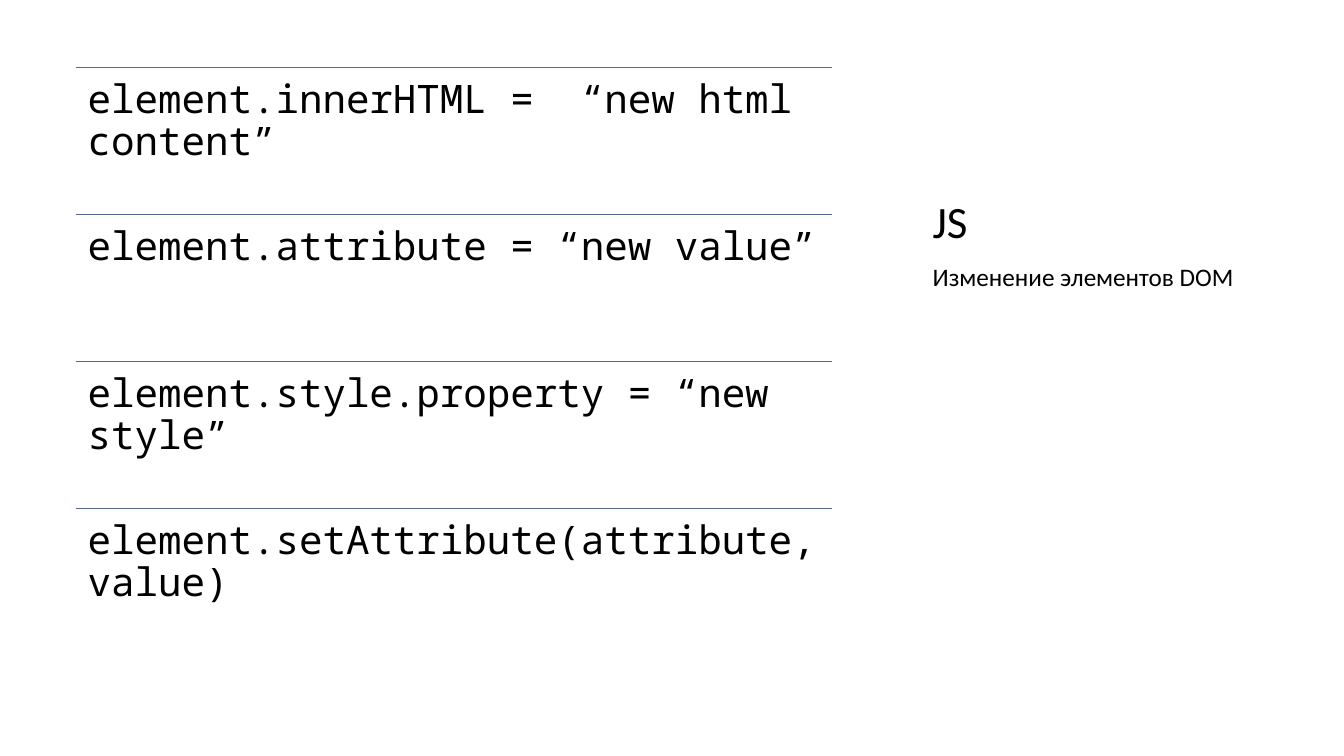
from pptx import Presentation
from pptx.dml.color import RGBColor as Rgb
from pptx.enum.shapes import MSO_CONNECTOR as Link
from pptx.enum.text import MSO_ANCHOR as Anchor
from pptx.oxml.ns import qn
from pptx.util import Inches, Pt
from lxml import etree

CODE = [
    "element.innerHTML =  “new html content”",
    "element.attribute = “new value”",
    "element.style.property = “new style”",
    "element.setAttribute(attribute, value)",
]
TITLE = "JS"
TOPIC = "Изменение элементов DOM"

HUES = {"ink": "000000", "rule": "54688C"}
WIDE, HIGH = 13.33, 7.5
LEFT, TOP, SPAN = 0.75, 0.67, 7.5
STEP = (6.5 - TOP) / len(CODE)
SIDE, BAND = 9.25, 3.46

FORMS = {
    "code": {
        "font": {"name": "Noto Sans Mono", "size": Pt(28)},
        "para": {"line_spacing": 0.9, "space_after": Pt(9.8)},
        "anchor": Anchor.TOP, "inset": 0.12,
    },
    "title": {
        "font": {"name": "Calibri", "size": Pt(32)},
        "para": {}, "anchor": Anchor.BOTTOM, "inset": 0,
    },
    "topic": {
        "font": {"name": "Calibri", "size": Pt(18)},
        "para": {"line_spacing": 1.1, "space_before": Pt(8)},
        "anchor": Anchor.TOP, "inset": 0,
    },
}


def apply(item, values):
    for key, value in values.items():
        setattr(item, key, value)


def write(slide, text, box, kind):
    form = FORMS[kind]
    frame = slide.shapes.add_textbox(*map(Inches, box)).text_frame
    sides = ("left", "top", "right", "bottom")
    apply(frame, {f"margin_{side}": Inches(form["inset"]) for side in sides})
    apply(frame, {"word_wrap": True, "vertical_anchor": form["anchor"]})
    para = frame.paragraphs[0]
    apply(para, form["para"])
    run = para.add_run()
    run.text = text
    apply(run.font, form["font"])
    run.font.color.rgb = Rgb.from_string(HUES["ink"])


def rule(slide, y):
    ends = map(Inches, (LEFT, y, LEFT + SPAN, y))
    line = slide.shapes.add_connector(Link.STRAIGHT, *ends)
    line.line.width = Pt(1)
    line.line.color.rgb = Rgb.from_string(HUES["rule"])
    etree.SubElement(line._element.spPr, qn("a:effectLst"))


def main():
    deck = Presentation()
    apply(deck, {"slide_width": Inches(WIDE), "slide_height": Inches(HIGH)})
    slide = deck.slides.add_slide(deck.slide_layouts[6])
    write(slide, TITLE, (SIDE, 0.66, BAND, 1.8), "title")
    for row, text in enumerate(CODE):
        y = TOP + row * STEP
        rule(slide, y)
        write(slide, text, (LEFT, y, SPAN, STEP), "code")
    write(slide, TOPIC, (SIDE, 2.56, BAND, 3.94), "topic")
    deck.save("out.pptx")


if __name__ == "__main__":
    main()
